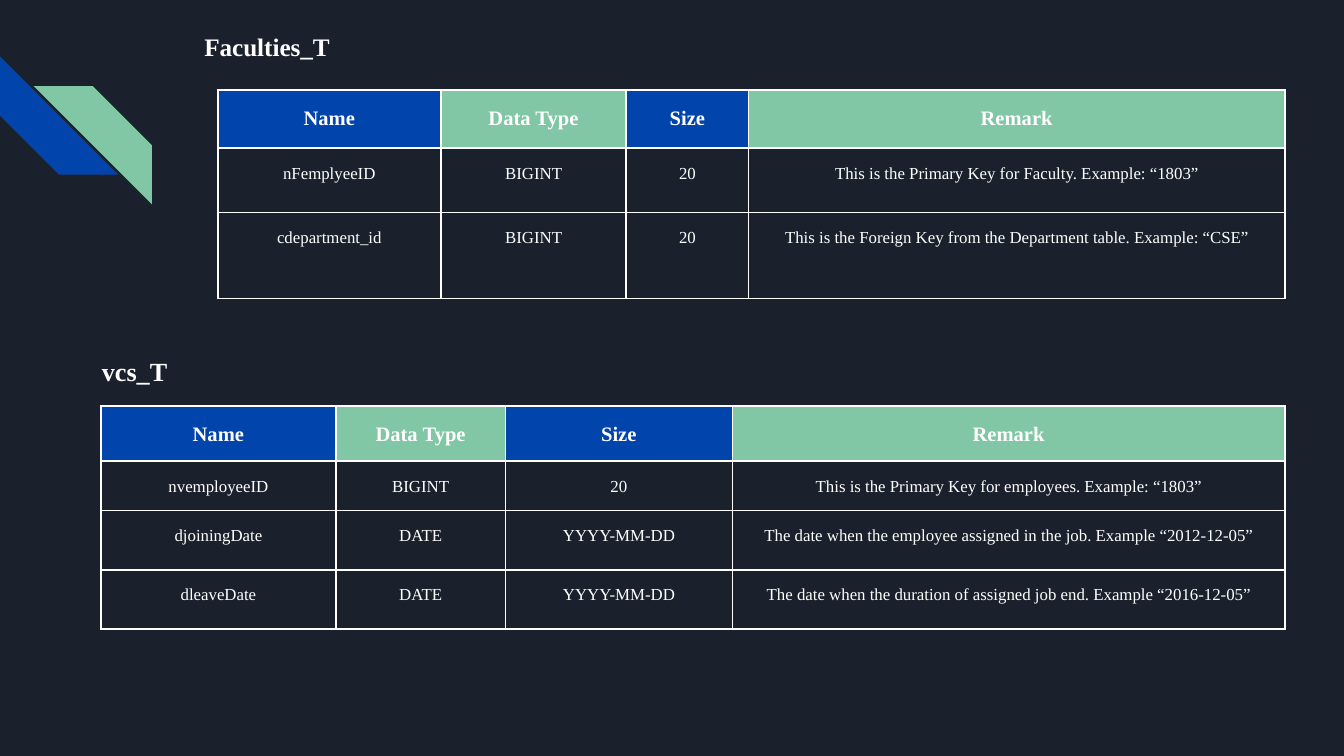
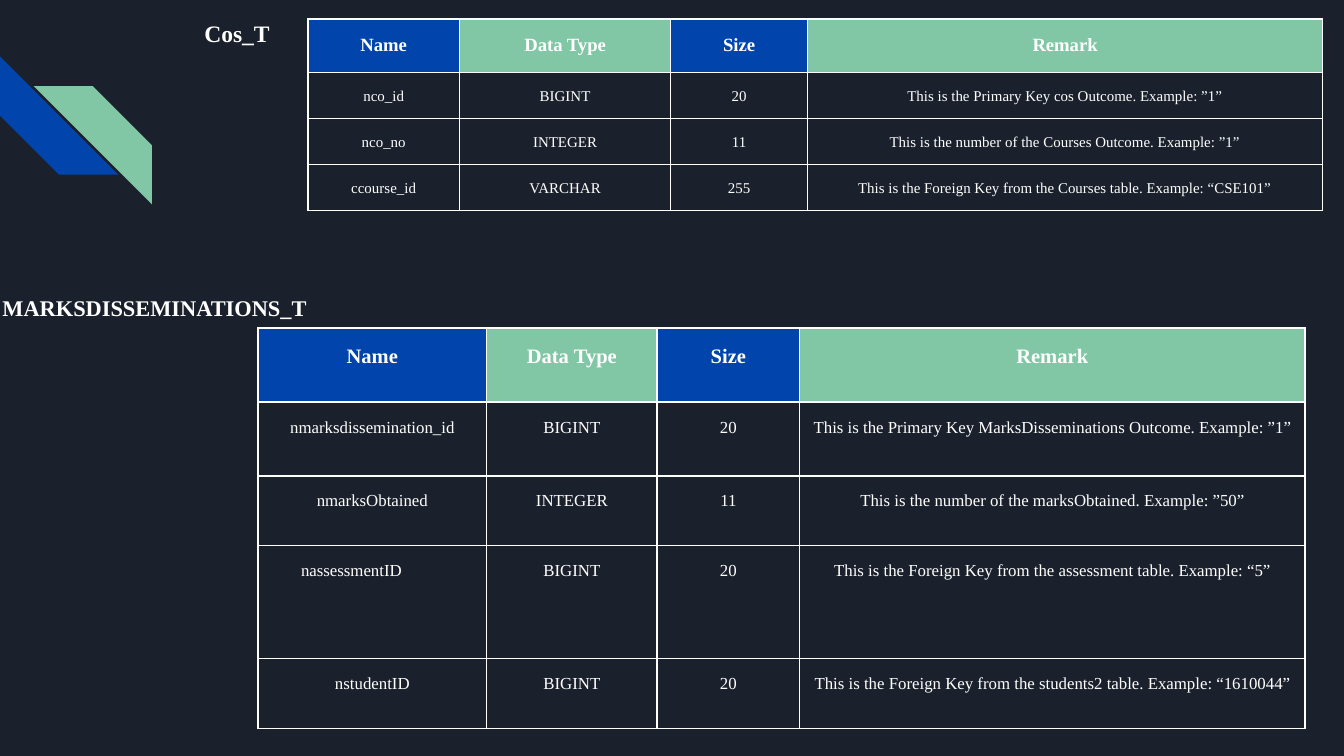
import lxml.etree
import pptx
import pptx.dml.color
import pptx.enum.shapes
import pptx.enum.text
import pptx.oxml
import pptx.oxml.ns
import pptx.util

# Shared look
NIGHT, BLUE, GREEN, WHITE = "1B212C", "0145AC", "82C7A5", "FFFFFF"
FONT = "Times New Roman"
ALIGN = pptx.enum.text.PP_ALIGN
HEADER = ("Name", "Data Type", "Size", "Remark")

# The slide is a grid of 100 columns by 56.25 rows of equal squares
WIDTH, HEIGHT, COLUMNS = 10, 5.625, 100


def grid(n):
    return pptx.util.Inches(n * WIDTH / COLUMNS)


def color(hex_string):
    return pptx.dml.color.RGBColor.from_string(hex_string)


def paint(fill, hex_string):
    fill.solid()
    fill.fore_color.rgb = color(hex_string)


def write(tf, text, size, bold=False, align=ALIGN.LEFT, after=0):
    p = tf.paragraphs[0]
    p.alignment = align
    p.line_spacing = 1.15
    p.space_before = pptx.util.Pt(12)
    p.space_after = pptx.util.Pt(after)
    r = p.add_run()
    r.text = text
    r.font.name = FONT
    r.font.size = pptx.util.Pt(size)
    r.font.bold = bold
    r.font.color.rgb = color(WHITE)


# Headings
def format_heading(sp, text, size, box):
    sp.left, sp.top, sp.width, sp.height = map(grid, box)
    tf = sp.text_frame
    tf.word_wrap = True
    tf.auto_size = pptx.enum.text.MSO_AUTO_SIZE.NONE
    tf.vertical_anchor = pptx.enum.text.MSO_ANCHOR.TOP
    tf.margin_left = tf.margin_right = tf.margin_top = tf.margin_bottom = grid(1)
    write(tf, text, size, bold=True, after=12)


def add_heading(s, text, size, box):
    sp = s.shapes.add_textbox(*map(grid, box))
    format_heading(sp, text, size, box)


# Corner stripes, kept on the layout behind everything else
def add_stripe(s, layout, left, top, fill, rotation=0, flip=False):
    kind = pptx.enum.shapes.MSO_SHAPE.DIAGONAL_STRIPE
    sp = s.shapes.add_shape(kind, grid(left), grid(top), grid(8.8), grid(8.8))
    sp.shadow.inherit = False
    sp.adjustments[0] = 0.5
    sp.rotation = rotation
    paint(sp.fill, fill)
    sp.line.fill.background()
    if flip:
        sp._element.spPr.xfrm.set("flipH", "1")
    tree = layout.shapes._spTree
    sp._element.nvSpPr.cNvPr.set("id", str(100 + len(tree)))
    tree.insert(2, sp._element)


# Tables
def add_borders(cell):
    tcPr = cell._tc.get_or_add_tcPr()
    for side in ("lnL", "lnR", "lnT", "lnB"):
        ln = lxml.etree.SubElement(tcPr, pptx.oxml.ns.qn("a:" + side),
                                   w=str(pptx.util.Pt(1)))
        solid = lxml.etree.SubElement(ln, pptx.oxml.ns.qn("a:solidFill"))
        lxml.etree.SubElement(solid, pptx.oxml.ns.qn("a:srgbClr"), val=WHITE)


def format_cell(cell, text, size, fill=None, indent=None):
    cell.margin_left = grid(0.7 + (indent or 0))
    cell.margin_right = grid(0.7)
    cell.margin_top = cell.margin_bottom = grid(1)
    add_borders(cell)
    if fill:
        paint(cell.fill, fill)
    else:
        cell.fill.background()
    align = ALIGN.CENTER if indent is None else ALIGN.LEFT
    write(cell.text_frame, text, size, bold=bool(fill), align=align)


def add_field_table(s, left, top, widths, heights, fields, size=9, indents=None):
    """Header is two points larger than the fields; indents maps a name to its indent."""
    rows = [HEADER, *fields]
    frame = s.shapes.add_table(len(rows), len(HEADER), grid(left), grid(top),
                               grid(sum(widths)), grid(sum(heights)))
    table = frame.table
    table.first_row = table.horz_banding = False
    for column, width in zip(table.columns, widths):
        column.width = grid(width)
    for i, (row, height, texts) in enumerate(zip(table.rows, heights, rows)):
        row.height = grid(height)
        for j, text in enumerate(texts):
            if i == 0:
                format_cell(row.cells[j], text, size + 2, fill=(BLUE, GREEN)[j % 2])
            else:
                format_cell(row.cells[j], text, size, indent=(indents or {}).get(text))


def add_slide(prs, layout, title, size, box):
    s = prs.slides.add_slide(layout)
    format_heading(s.shapes.title, title, size, box)
    return s


def main():
    prs = pptx.Presentation()
    prs.slide_width = pptx.util.Inches(WIDTH)
    prs.slide_height = pptx.util.Inches(HEIGHT)
    paint(prs.slide_master.background.fill, NIGHT)
    layout = prs.slide_layouts.get_by_name("Title Only")

    # Faculties and vcs
    s = add_slide(prs, layout, "Faculties_T", 13.5, (14.2, 1, 17.4, 5))
    add_stripe(s, layout, 2.5, 6.4, GREEN, flip=True)
    add_stripe(s, layout, 0, 4.2, BLUE, rotation=270)
    add_field_table(s, 16.2, 6.7, (16.6, 13.8, 9.1, 39.9), (4.3, 4.8, 6.4), [
        ("nFemplyeeID", "BIGINT", "20",
         "This is the Primary Key for Faculty. Example: “1803”"),
        ("cdepartment_id", "BIGINT", "20",
         "This is the Foreign Key from the Department table. Example: “CSE”"),
    ])
    add_heading(s, "vcs_T", 14, (6.6, 25.1, 14.3, 4.4))
    add_field_table(s, 7.5, 30.2, (17.5, 12.6, 16.9, 41.1), (4.1, 3.7, 4.4, 4.4), [
        ("nvemployeeID", "BIGINT", "20",
         "This is the Primary Key for employees. Example: “1803”"),
        ("djoiningDate", "DATE", "YYYY-MM-DD",
         "The date when the employee assigned in the job. Example “2012-12-05”"),
        ("dleaveDate", "DATE", "YYYY-MM-DD",
         "The date when the duration of assigned job end. Example “2016-12-05”"),
    ])

    # Course outcomes and marks
    s = add_slide(prs, layout, "Cos_T", 12.6, (14.2, 0.1, 7.9, 3.7))
    add_field_table(s, 22.9, 1.4, (11.3, 15.7, 10.2, 38.3), (4, 3.4, 3.4, 3.4), [
        ("nco_id", "BIGINT", "20",
         "This is the Primary Key cos Outcome. Example: ”1”"),
        ("nco_no", "INTEGER", "11",
         "This is the number of the Courses Outcome. Example: ”1”"),
        ("ccourse_id", "VARCHAR", "255",
         "This is the Foreign Key from the Courses table. Example: “CSE101”"),
    ], size=8)
    add_heading(s, "MARKSDISSEMINATIONS_T", 12, (-0.8, 20.6, 25, 4))
    add_field_table(s, 19.2, 24.4, (17, 12.7, 10.6, 37.6), (5.5, 5.5, 5.2, 8.4, 5.2), [
        ("nmarksdissemination_id", "BIGINT", "20",
         "This is the Primary Key MarksDisseminations Outcome. Example: ”1”"),
        ("nmarksObtained", "INTEGER", "11",
         "This is the number of the marksObtained. Example: ”50”"),
        ("nassessmentID", "BIGINT", "20",
         "This is the Foreign Key from the assessment table. Example: “5”"),
        ("nstudentID", "BIGINT", "20",
         "This is the Foreign Key from the students2 table. Example: “1610044”"),
    ], indents={"nassessmentID": 2.5})

    prs.save("out.pptx")


if __name__ == "__main__":
    main()
